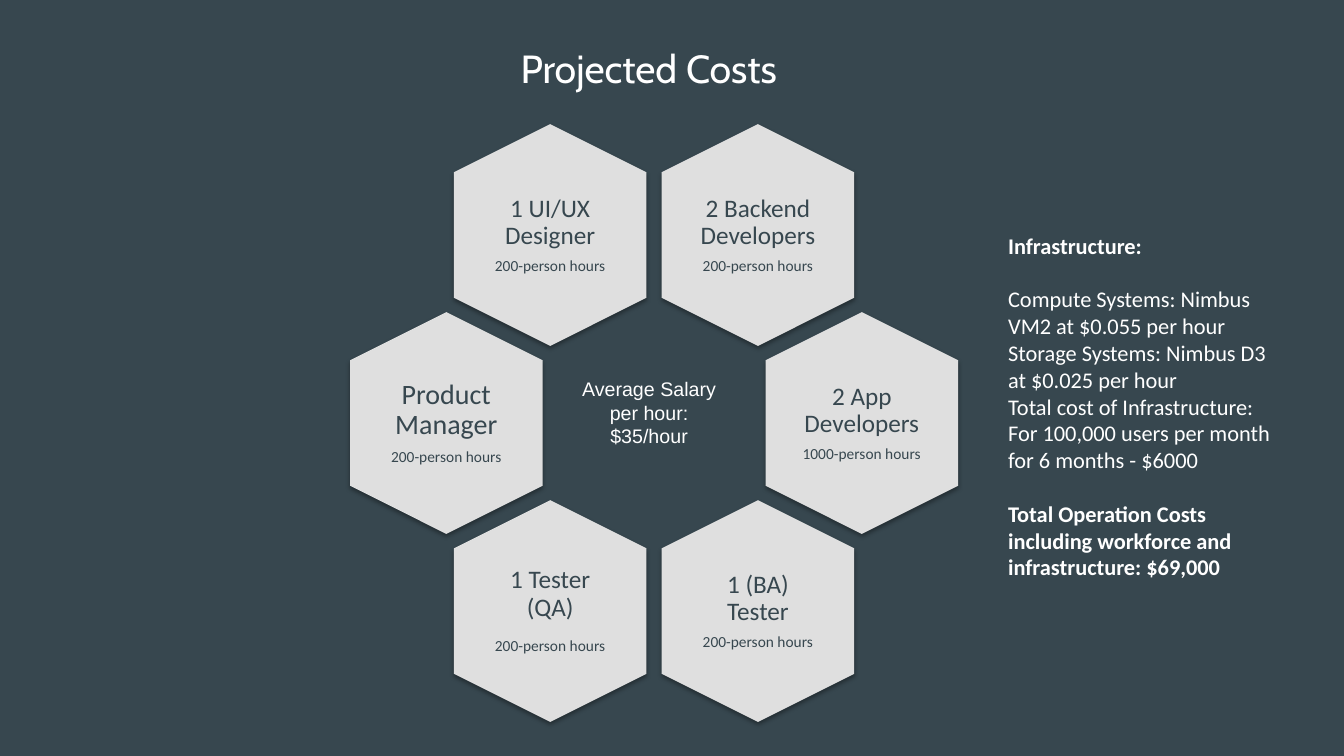
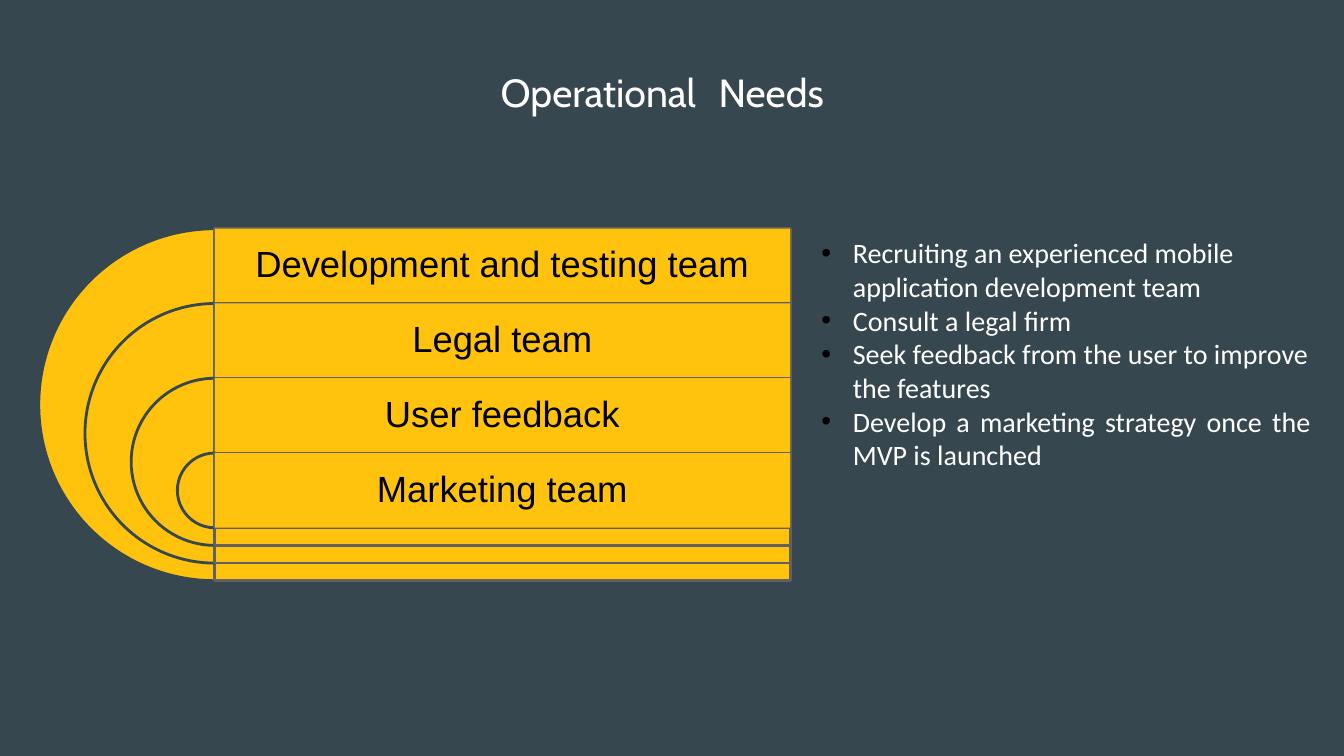
from lxml import etree
from pptx import Presentation
from pptx.dml.color import RGBColor
from pptx.enum.shapes import MSO_SHAPE
from pptx.enum.text import MSO_ANCHOR, MSO_AUTO_SIZE, PP_ALIGN
from pptx.oxml.ns import qn
from pptx.util import Pt

HEXAGON, PIE, RECTANGLE = MSO_SHAPE.HEXAGON, MSO_SHAPE.PIE, MSO_SHAPE.RECTANGLE
TOP, MIDDLE = MSO_ANCHOR.TOP, MSO_ANCHOR.MIDDLE
LEFT, CENTER, JUSTIFY = PP_ALIGN.LEFT, PP_ALIGN.CENTER, PP_ALIGN.JUSTIFY

SLATE = RGBColor(0x37, 0x47, 0x4F)
SILVER = RGBColor(0xDF, 0xDF, 0xDF)
AMBER = RGBColor(0xFF, 0xC3, 0x0D)
GRAY = RGBColor(0x61, 0x61, 0x61)
WHITE = RGBColor(0xFF, 0xFF, 0xFF)
BLACK = RGBColor(0, 0, 0)

TITLE_FONT, BODY_FONT, LABEL_FONT = "Cabin", "Calibri", "Arial"
TITLE_WIDTH, TITLE_HEIGHT = 608, 94

# Role, hours, column, row, role text size, gap above the hours
ROLES = [
    ("2 Backend Developers", "200-person hours", 1, -1, 18, 6),
    ("1 UI/UX Designer", "200-person hours", -1, -1, 18, 6),
    ("Product Manager", "200-person hours", -2, 0, 20, 6),
    ("2 App Developers", "1000-person hours", 2, 0, 18, 6),
    ("1 (BA) Tester", "200-person hours", 1, 1, 18, 6),
    ("1 Tester (QA)", "200-person hours", -1, 1, 18, 12),
]
RING_X, RING_Y = 467.2, 302.2
COLUMN_STEP, ROW_STEP = 74.2, 134.3
HEXAGON_WIDTH, HEXAGON_HEIGHT = 158.4, 137.5
ROLE_WIDTH, ROLE_HEIGHT = 95, 108.7
SALARY = "Average Salary per hour: $35/hour"

# Text, bold, space before
INFRASTRUCTURE = [
    ("Infrastructure:", True, 0),
    ("Compute Systems: Nimbus VM2 at $0.055 per hour", False, 19),
    ("Storage Systems: Nimbus D3 at $0.025 per hour", False, 0),
    ("Total cost of Infrastructure: For 100,000 users per month "
     "for 6 months - $6000", False, 0),
    ("Total Operation Costs including workforce and infrastructure: $69,000",
     True, 19),
]

TEAMS = ["Development and testing team", "Legal team", "User feedback",
         "Marketing team"]
STACK_X, STACK_Y, BAR_WIDTH, BAR_HEIGHT = 153.4, 163.4, 411, 53.4
LAYER_SHRINK = 66

NEEDS = [
    ("Recruiting an experienced mobile application development team", LEFT),
    ("Consult a legal firm", LEFT),
    ("Seek feedback from the user to improve the features", LEFT),
    ("Develop a marketing strategy once the MVP is launched", JUSTIFY),
]
BULLET_INDENT = 22.5


def style_runs(para, size, font, color, bold=False):
    for span in para.runs:
        span.font.size = Pt(size)
        span.font.name = font
        span.font.bold = bold
        span.font.color.rgb = color


def add_title_slide(deck, text, center_x, center_y, extra_gap=0):
    """Add a title-only slide; extra_gap widens the space between two words."""
    slide = deck.slides.add_slide(deck.slide_layouts[5])
    title = slide.shapes.title
    title.left, title.top = Pt(center_x - TITLE_WIDTH / 2), Pt(center_y - TITLE_HEIGHT / 2)
    title.width, title.height = Pt(TITLE_WIDTH), Pt(TITLE_HEIGHT)
    frame = title.text_frame
    frame.auto_size = MSO_AUTO_SIZE.NONE
    frame.vertical_anchor = MIDDLE
    para = frame.paragraphs[0]
    para.alignment = CENTER
    para.line_spacing = 0.9
    for part in text.partition(" "):
        para.add_run().text = part
    style_runs(para, 28, TITLE_FONT, WHITE)
    if extra_gap:
        para.runs[1].font._element.set("spc", str(extra_gap * 100))
    return slide


def add_text(slide, left, top, width, height, lines, anchor=TOP, inset=None):
    """Add a wrapped text box and return its paragraphs, one per line."""
    box = slide.shapes.add_textbox(Pt(left), Pt(top), Pt(width), Pt(height))
    frame = box.text_frame
    frame.word_wrap = True
    frame.vertical_anchor = anchor
    if inset is not None:
        frame.margin_left = frame.margin_right = Pt(inset)
        frame.margin_top = frame.margin_bottom = Pt(inset)
    frame.text = "\n".join(lines)
    return frame.paragraphs


def add_figure(slide, kind, left, top, width, height, fill, line=None):
    figure = slide.shapes.add_shape(kind, Pt(left), Pt(top), Pt(width), Pt(height))
    figure.shadow.inherit = False
    figure.fill.solid()
    figure.fill.fore_color.rgb = fill
    if line is None:
        figure.line.fill.background()
    else:
        figure.line.color.rgb = line
        figure.line.width = Pt(2)
    return figure


def add_soft_shadow(figure):
    effects = figure._element.spPr.find(qn("a:effectLst"))
    shadow = etree.SubElement(
        effects, qn("a:outerShdw"), blurRad=str(Pt(3.1)), dist=str(Pt(1.8)),
        dir="5400000", algn="ctr", rotWithShape="0")
    color = etree.SubElement(shadow, qn("a:srgbClr"), val=str(BLACK))
    etree.SubElement(color, qn("a:alpha"), val="35000")


def add_bullet(para):
    properties = para._p.get_or_add_pPr()
    properties.set("marL", str(Pt(BULLET_INDENT)))
    properties.set("indent", str(-Pt(BULLET_INDENT)))
    color = etree.SubElement(properties, qn("a:buClr"))
    etree.SubElement(color, qn("a:srgbClr"), val=str(BLACK))
    etree.SubElement(properties, qn("a:buFont"), typeface=LABEL_FONT)
    etree.SubElement(properties, qn("a:buChar"), char="•")


def add_role(slide, role, hours, column, row, size, gap):
    x, y = RING_X + column * COLUMN_STEP, RING_Y + row * ROW_STEP
    cell = add_figure(slide, HEXAGON, x - HEXAGON_WIDTH / 2, y - HEXAGON_HEIGHT / 2,
                      HEXAGON_WIDTH, HEXAGON_HEIGHT, SILVER)
    cell.rotation = 90
    cell.adjustments[0] = 0.25
    cell.adjustments[1] = 1.1547
    add_soft_shadow(cell)
    paras = add_text(slide, x - ROLE_WIDTH / 2, y - ROLE_HEIGHT / 2,
                     ROLE_WIDTH, ROLE_HEIGHT, [role, hours], MIDDLE, 4)
    for para, text_size in zip(paras, (size, 11)):
        para.alignment = CENTER
        para.line_spacing = 0.9
        style_runs(para, text_size, BODY_FONT, SLATE)
    paras[0].space_after = Pt(gap)


def add_costs_slide(deck):
    slide = add_title_slide(deck, "Projected Costs", 463.3, 50.4)
    for role in ROLES:
        add_role(slide, *role)
    paras = add_text(slide, 713, 162, 214, 186, [line[0] for line in INFRASTRUCTURE])
    for para, (_, bold, space) in zip(paras, INFRASTRUCTURE):
        para.space_before = Pt(space)
        style_runs(para, 16, BODY_FONT, WHITE, bold)
    salary = add_text(slide, 400.3, 265.7, 126.7, 72.7, [SALARY])[0]
    salary.alignment = CENTER
    style_runs(salary, 14, LABEL_FONT, WHITE)


def add_needs_slide(deck):
    slide = add_title_slide(deck, "Operational Needs", 473, 68, extra_gap=10)
    for index, team in enumerate(TEAMS):
        top = STACK_Y + index * BAR_HEIGHT
        size = BAR_HEIGHT + (len(TEAMS) - 1 - index) * LAYER_SHRINK
        arc = add_figure(slide, PIE, STACK_X - size / 2, top, size, size, AMBER, SLATE)
        arc.adjustments[0], arc.adjustments[1] = 54, 162
        add_figure(slide, RECTANGLE, STACK_X, top, BAR_WIDTH, size, AMBER, GRAY)
        bar = add_figure(slide, RECTANGLE, STACK_X, top, BAR_WIDTH, BAR_HEIGHT, AMBER)
        bar.text_frame.text = team
        bar.text_frame.vertical_anchor = MIDDLE
        label = bar.text_frame.paragraphs[0]
        label.alignment = CENTER
        label.line_spacing = 0.9
        style_runs(label, 26, LABEL_FONT, BLACK)
    paras = add_text(slide, 579.6, 165, 363.6, 177, [need[0] for need in NEEDS])
    for para, (_, alignment) in zip(paras, NEEDS):
        para.alignment = alignment
        add_bullet(para)
        style_runs(para, 20, BODY_FONT, WHITE)


def main():
    deck = Presentation()
    deck.slide_width, deck.slide_height = Pt(960), Pt(540)
    backdrop = deck.slide_master.background.fill
    backdrop.solid()
    backdrop.fore_color.rgb = SLATE
    add_costs_slide(deck)
    add_needs_slide(deck)
    deck.save("out.pptx")


if __name__ == "__main__":
    main()
